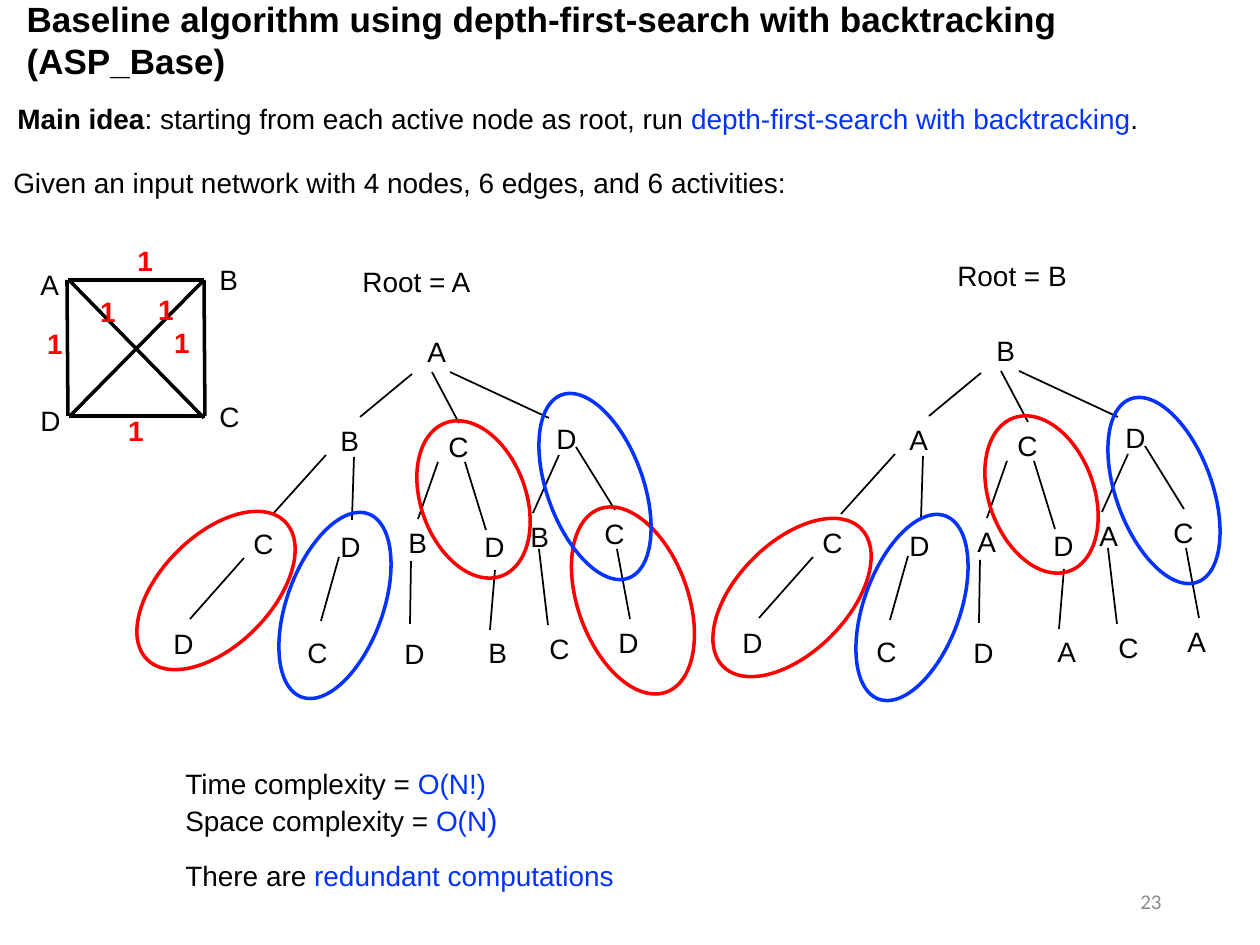
from dataclasses import dataclass

from lxml.etree import SubElement
from pptx import Presentation
from pptx.dml.color import RGBColor
from pptx.enum.shapes import MSO_CONNECTOR, MSO_SHAPE
from pptx.enum.text import MSO_ANCHOR, MSO_AUTO_SIZE, PP_ALIGN
from pptx.oxml.ns import qn
from pptx.util import Inches, Pt


@dataclass(frozen=True)
class Theme:
    black: RGBColor = RGBColor(0x00, 0x00, 0x00)
    red: RGBColor = RGBColor(0xFF, 0x00, 0x00)
    blue: RGBColor = RGBColor(0x04, 0x32, 0xFF)
    grey: RGBColor = RGBColor(0x8C, 0x8C, 0x8C)
    font: str = "Arial"
    number_font: str = "Calibri"
    title: int = 20
    body: int = 16
    large: int = 18
    number: int = 12
    thin: int = 1
    thick: int = 2


THEME = Theme()
PX_PER_INCH = 126
LINE_HEIGHT = 47

# Search tree: node corners in depth-first order, edge ends in the same order
TREE_NODES = [
    (415, 328),
    (328, 417), (241, 520), (161, 620), (328, 523), (295, 629),
    (436, 423), (396, 519), (392, 630), (472, 523), (476, 629),
    (544, 415), (518, 513), (537, 625), (592, 510), (606, 619),
]
TREE_EDGES = [
    (412, 374, 360, 417), (326, 455, 272, 515), (244, 558, 190, 619),
    (354, 457, 352, 520), (339, 557, 321, 621),
    (432, 372, 459, 423), (438, 462, 418, 519), (411, 561, 410, 624),
    (465, 462, 486, 530), (495, 570, 490, 630),
    (450, 372, 549, 418), (559, 455, 533, 513), (539, 549, 548, 625),
    (576, 447, 615, 510), (617, 549, 630, 619),
]

# Input network
NETWORK_EDGES = [
    (67, 280, 68, 416), (204, 280, 205, 416), (68, 280, 204, 280),
    (69, 416, 205, 416), (69, 280, 204, 418), (71, 415, 204, 280),
]
NETWORK_NODES = [("A", 28, 261), ("B", 207, 256), ("D", 28, 397), ("C", 207, 393)]
EDGE_WEIGHTS = [
    (125, 248, 25, 25), (151, 320, 62, 45), (105, 408, 62, 45),
    (24, 321, 62, 45), (77, 289, 62, 45), (135, 287, 62, 45),
]

# Repeated paths: left, top, width, height, rotation
RED_PATHS = [
    (161, 493, 110, 195, 45), (578, 503, 110, 195, -20), (737, 500, 110, 195, 45),
    (421, 418, 105, 163, -20), (989, 413, 105, 163, -20),
]
BLUE_PATHS = [
    (287, 508, 96, 195, 20), (864, 510, 96, 195, 20),
    (547, 389, 96, 195, -20), (1116, 393, 96, 195, -20),
]


def px(length):
    return Inches(length / PX_PER_INCH)


def add_run(paragraph, text, color=THEME.black, size=THEME.body, bold=False,
            font=THEME.font):
    run = paragraph.add_run()
    run.text = text
    run.font.name = font
    run.font.size = Pt(size)
    run.font.bold = bold
    run.font.color.rgb = color


def add_text(slide, box, paragraphs, wrap=False, align=PP_ALIGN.LEFT, middle=False):
    """Each paragraph is a list of argument tuples for add_run."""
    frame = slide.shapes.add_textbox(*map(px, box)).text_frame
    frame.word_wrap = wrap
    frame.auto_size = MSO_AUTO_SIZE.NONE if middle else MSO_AUTO_SIZE.SHAPE_TO_FIT_TEXT
    frame.vertical_anchor = MSO_ANCHOR.MIDDLE if middle else MSO_ANCHOR.TOP
    for index, runs in enumerate(paragraphs):
        paragraph = frame.add_paragraph() if index else frame.paragraphs[0]
        paragraph.alignment = align
        for run in runs:
            add_run(paragraph, *run)


def add_edge(slide, ends, width):
    edge = slide.shapes.add_connector(MSO_CONNECTOR.STRAIGHT, *map(px, ends))
    edge.line.color.rgb = THEME.black
    edge.line.width = Pt(width)
    SubElement(edge._element.spPr, qn("a:effectLst"))


def add_path_ring(slide, left, top, width, height, rotation, color):
    ring = slide.shapes.add_shape(
        MSO_SHAPE.OVAL, px(left), px(top), px(width), px(height))
    ring.rotation = rotation
    ring.shadow.inherit = False
    ring.fill.background()
    ring.line.color.rgb = color
    ring.line.width = Pt(THEME.thick)


def add_title(slide, box, text):
    title = slide.shapes.title
    title.left, title.top, title.width, title.height = map(px, box)
    frame = title.text_frame
    frame.word_wrap = True
    frame.auto_size = MSO_AUTO_SIZE.NONE
    frame.vertical_anchor = MSO_ANCHOR.MIDDLE
    frame.paragraphs[0].alignment = PP_ALIGN.LEFT
    add_run(frame.paragraphs[0], text, THEME.black, THEME.title, True)


def add_network(slide):
    for ends in NETWORK_EDGES:
        add_edge(slide, ends, THEME.thick)
    for name, left, top in NETWORK_NODES:
        add_text(slide, (left, top, 42, LINE_HEIGHT), [[(name,)]], wrap=True)
    for box in EDGE_WEIGHTS:
        add_text(slide, box, [[("1", THEME.red, THEME.body, True)]],
                 wrap=True, align=PP_ALIGN.CENTER, middle=True)


def add_search_tree(slide, names, dx=0, dy=0):
    for x1, y1, x2, y2 in TREE_EDGES:
        add_edge(slide, (x1 + dx, y1 + dy, x2 + dx, y2 + dy), THEME.thin)
    for name, (left, top) in zip(names, TREE_NODES):
        add_text(slide, (left + dx, top + dy, 45, LINE_HEIGHT), [[(name,)]])


def main():
    deck = Presentation()
    deck.slide_width, deck.slide_height = Inches(10), Inches(7.5)
    slide = deck.slides.add_slide(deck.slide_layouts[5])

    # Title and introduction
    add_title(slide, (14, -14, 1134, 107),
              "Baseline algorithm using depth-first-search with backtracking (ASP_Base)")
    add_text(slide, (5, 95, 1240, LINE_HEIGHT), [[
        ("Main idea", THEME.black, THEME.body, True),
        (": starting from each active node as root, run ",),
        ("depth-first-search with backtracking", THEME.blue),
        (".",),
    ]], wrap=True)
    add_text(slide, (1, 159, 808, LINE_HEIGHT), [[
        ("Given an input network with 4 nodes, 6 edges, and 6 activities:",)]])

    # Network and its two search trees
    add_network(slide)
    add_text(slide, (350, 258, 135, LINE_HEIGHT), [[("Root = A",)]])
    add_search_tree(slide, "ABCDDCCBDDBDBCCD")
    add_text(slide, (945, 252, 136, LINE_HEIGHT), [[("Root = B",)]])
    add_search_tree(slide, "BACDDCCADDADACCA", dx=569, dy=-1)

    # Redundant paths
    for paths, color in ((RED_PATHS, THEME.red), (BLUE_PATHS, THEME.blue)):
        for path_box in paths:
            add_path_ring(slide, *path_box, color)

    # Complexity
    add_text(slide, (173, 760, 341, 84), [
        [("Time complexity = ",), ("O(N!)", THEME.blue)],
        [("Space complexity = ",), ("O(N", THEME.blue),
         (")", THEME.blue, THEME.large)],
    ])
    add_text(slide, (173, 852, 459, LINE_HEIGHT), [
        [("There are ",), ("redundant computations", THEME.blue)]])

    # Slide number
    add_text(slide, (890, 876, 284, 50),
             [[("23", THEME.grey, THEME.number, False, THEME.number_font)]],
             wrap=True, align=PP_ALIGN.RIGHT, middle=True)

    deck.save("out.pptx")


if __name__ == "__main__":
    main()
